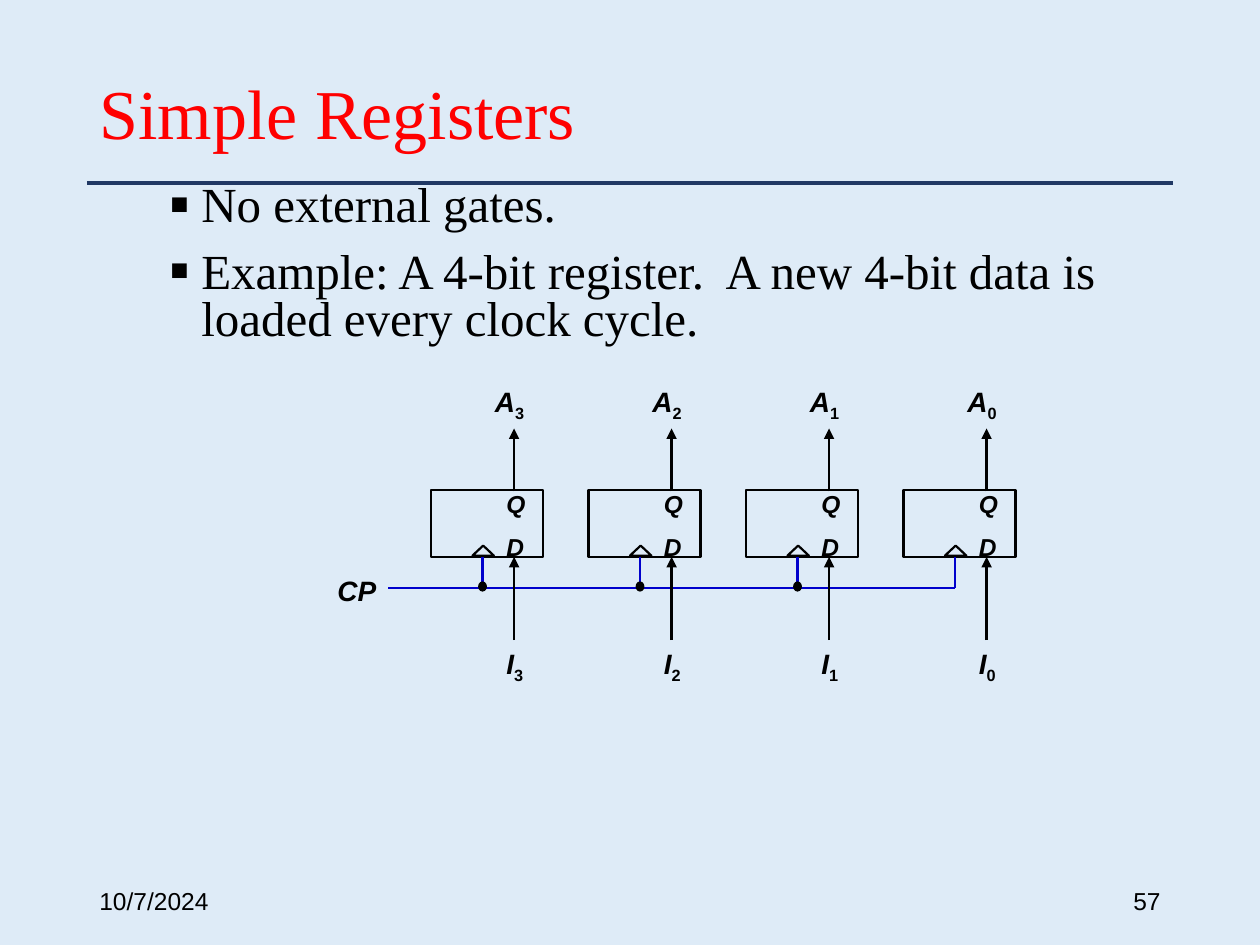
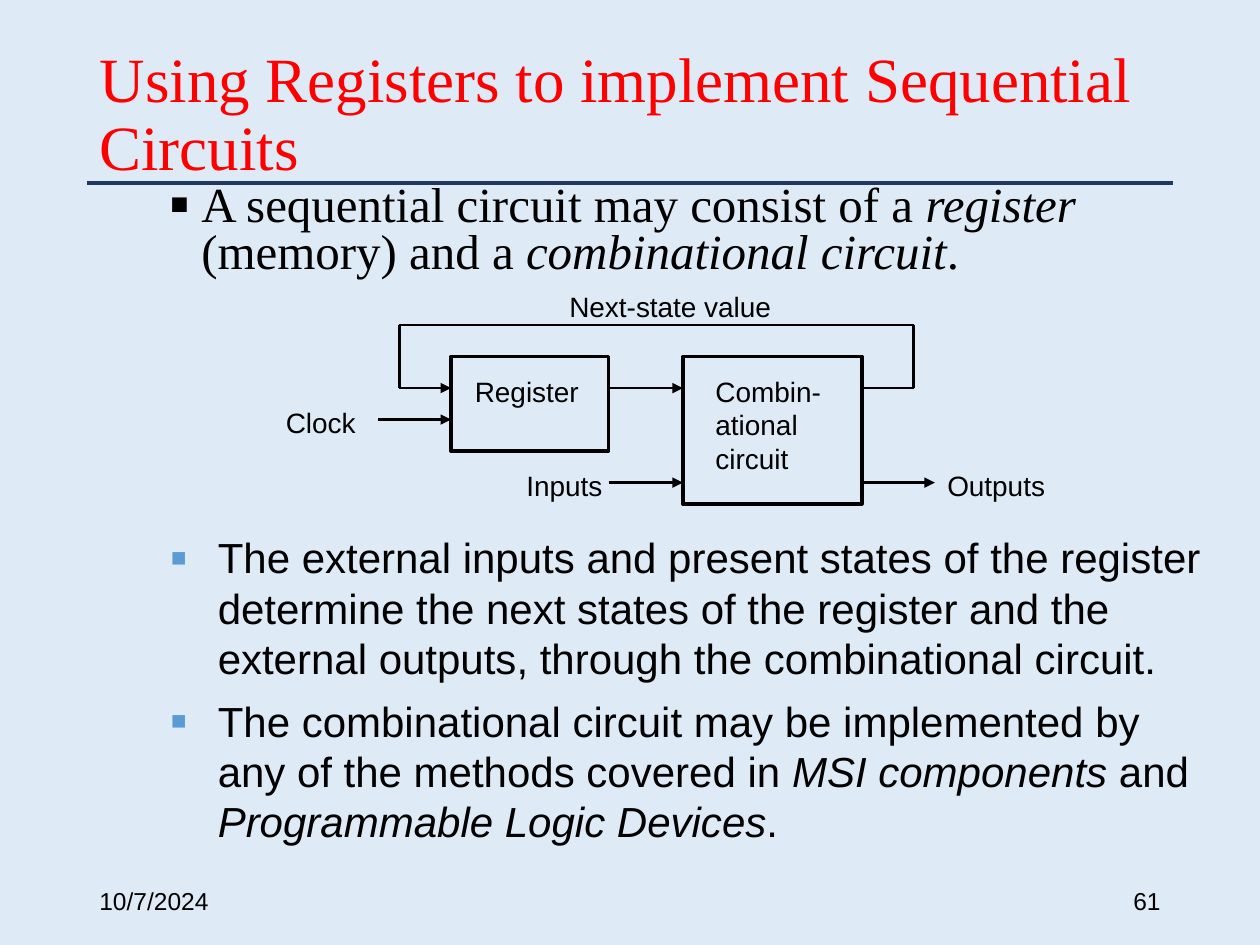
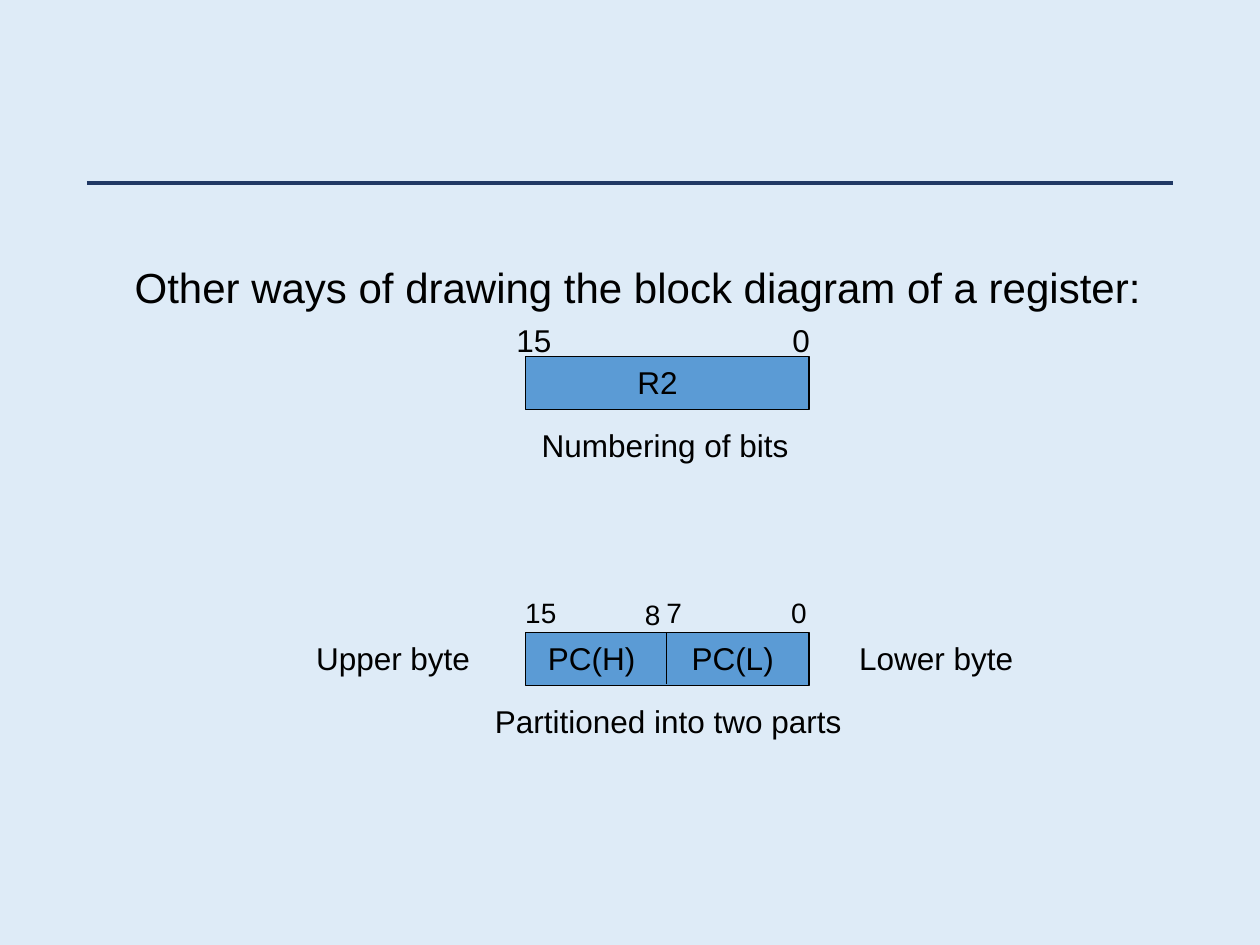
from lxml.etree import SubElement
from pptx import Presentation
from pptx.dml.color import RGBColor
from pptx.enum.shapes import MSO_CONNECTOR, MSO_SHAPE
from pptx.enum.text import MSO_ANCHOR, MSO_AUTO_SIZE, PP_ALIGN
from pptx.oxml.ns import qn
from pptx.util import Inches, Pt

SERIF, SANS = "Times New Roman", "Arial"
BLACK, RED, NAVY, BLUE, CLOCK_BLUE, PALE = "000000", "FF0000", "203864", "5B9BD5", "0000CC", "DEEBF7"
ITALIC = {"italic": True}
SUB = {"italic": False, "baseline": -25000}
DATE = "10/7/2024"

REGISTER_POINTS = [
    ["No external gates."],
    ["Example: A 4-bit register.  A new 4-bit data is loaded every clock cycle."],
]
SEQUENTIAL_INTRO = [
    ["A sequential circuit may consist of a ", ("register", ITALIC), " (memory) and a ",
     ("combinational circuit", ITALIC), "."],
]
SEQUENTIAL_POINTS = [
    ["The external inputs and present states of the register determine the next states of "
     "the register and the external outputs, through the combinational circuit."],
    ["The combinational circuit may be implemented by any of the methods covered in ",
     ("MSI components", ITALIC), " and ", ("Programmable Logic Devices", ITALIC), "."],
]
BITS = ["3", "2", "1", "0"]

CIRCUIT_BLOCKS = [(3.58, 2.83, 1.25, 0.75), (5.42, 2.83, 1.42, 1.17)]
CIRCUIT_LABELS = [
    ("Register", 3.67, 2.92, 1.08), ("Combin-ational circuit", 5.58, 2.92, 1.08),
    ("Clock", 2.17, 3.17, 0.83), ("Inputs", 4.08, 3.67, 0.83),
    ("Outputs", 7.42, 3.67, 1), ("Next-state value", 4.42, 2.25, 1.92),
]
CIRCUIT_ARROWS = [
    (4.83, 3.08, 5.42, 3.08), (4.83, 3.83, 5.42, 3.83), (3.17, 3.08, 3.58, 3.08),
    (3, 3.33, 3.58, 3.33), (6.83, 3.83, 7.42, 3.83),
]
FEEDBACK = [(6.83, 3.08), (7.25, 3.08), (7.25, 2.58), (3.17, 2.58), (3.17, 3.08)]

BLOCK_TOPS = [2.83, 5.02]
BLOCK_LABELS = [
    ("R2", 4.96, 2.83, 0.58, 18), ("Numbering of bits", 4.2, 3.33, 2.19, 18),
    ("15", 4, 2.5, 0.58, 18), ("0", 6.19, 2.5, 0.58, 18),
    ("PC(H)", 4.25, 5.02, 0.92, 18), ("PC(L)", 5.39, 5.02, 0.92, 18),
    ("Partitioned into two parts", 3.83, 5.52, 3, 18),
    ("15", 4.07, 4.68, 0.58, 16), ("8", 5.02, 4.69, 0.58, 16),
    ("7", 5.19, 4.68, 0.58, 16), ("0", 6.18, 4.68, 0.58, 16),
]
SIDE_LABELS = [
    ("Upper byte", 2.41, 5.02, 1.42, 18), ("Lower byte", 6.72, 5.02, 1.42, 18),
    ("Other ways of drawing the block diagram of a register:", 0.97, 2.03, 8.19, 24),
]


def rgb(color):
    return RGBColor.from_string(color)


def add_bullet(p, indent, color):
    pPr = p._p.get_or_add_pPr()
    pPr.set("marL", str(Inches(indent)))
    pPr.set("indent", str(-Inches(indent)))
    SubElement(SubElement(pPr, qn("a:buClr")), qn("a:srgbClr")).set("val", color)
    SubElement(pPr, qn("a:buSzPct")).set("val", "120000")
    SubElement(pPr, qn("a:buFont")).set("typeface", SANS)
    SubElement(pPr, qn("a:buChar")).set("char", "▪")


def write(tf, paras, size=16, font=SANS, color=BLACK, bold=False, italic=False, wrap=True,
          grow=False, anchor=MSO_ANCHOR.TOP, align=PP_ALIGN.LEFT, spacing=None, before=0,
          indent=0, bullet=BLACK):
    tf.word_wrap = wrap
    tf.auto_size = MSO_AUTO_SIZE.SHAPE_TO_FIT_TEXT if grow else MSO_AUTO_SIZE.NONE
    tf.vertical_anchor = anchor
    for i, runs in enumerate([[paras]] if isinstance(paras, str) else paras):
        p = tf.add_paragraph() if i else tf.paragraphs[0]
        if indent:
            add_bullet(p, indent, bullet)
        p.alignment = align
        if spacing:
            p.line_spacing = spacing
        if i:
            p.space_before = Pt(before)
        for run in runs:
            text, extra = (run, {}) if isinstance(run, str) else run
            r = p.add_run()
            r.text = text
            r.font.size, r.font.name, r.font.bold = Pt(size), font, bold
            r.font.italic = extra.get("italic", italic)
            r.font.color.rgb = rgb(color)
            if "baseline" in extra:
                r._r.get_or_add_rPr().set("baseline", str(extra["baseline"]))


def add_text(s, paras, x, y, w, h=0.37, **fmt):
    write(s.shapes.add_textbox(Inches(x), Inches(y), Inches(w), Inches(h)).text_frame, paras, **fmt)


def add_line(s, x1, y1, x2, y2, color=BLACK, width=1.25, arrow=False):
    c = s.shapes.add_connector(MSO_CONNECTOR.STRAIGHT, Inches(x1), Inches(y1), Inches(x2), Inches(y2))
    c.line.color.rgb = rgb(color)
    c.line.width = Pt(width)
    spPr = c.element.spPr
    if arrow:
        SubElement(spPr.find(qn("a:ln")), qn("a:tailEnd")).set("type", "triangle")
    SubElement(spPr, qn("a:effectLst"))
    return c


def add_block(s, x, y, w, h, kind=MSO_SHAPE.RECTANGLE, fill=None, width=0.75):
    sp = s.shapes.add_shape(kind, Inches(x), Inches(y), Inches(w), Inches(h))
    sp.shadow.inherit = False
    if fill:
        sp.fill.solid()
        sp.fill.fore_color.rgb = rgb(fill)
    else:
        sp.fill.background()
    sp.line.color.rgb = rgb(BLACK)
    sp.line.width = Pt(width)


def add_titled_slide(prs, title, size, number):
    s = prs.slides.add_slide(prs.slide_layouts[5])
    sp = s.shapes.title
    sp.left, sp.top, sp.width, sp.height = Inches(0.69), Inches(0.4), Inches(8.62), Inches(1.05)
    write(sp.text_frame, title, size=size, font=SERIF, color=RED, anchor=MSO_ANCHOR.MIDDLE, spacing=0.9)
    for text, x, align in [(DATE, 0.69, PP_ALIGN.LEFT), (number, 7.06, PP_ALIGN.RIGHT)]:
        add_text(s, text, x, 6.95, 2.25, 0.4, size=14, anchor=MSO_ANCHOR.MIDDLE, align=align)
    return s


def add_serif_body(s, paras, w, h):
    add_text(s, paras, 1.25, 1.42, w, h, size=28, font=SERIF, spacing=0.8, before=11, indent=0.25)


def style_master(prs, s):
    master = prs.slide_master
    master.background.fill.solid()
    master.background.fill.fore_color.rgb = rgb(PALE)
    rule = add_line(s, 0.69, 1.45, 9.31, 1.45, NAVY, 2.25)
    master.shapes.element.append(rule.element)


def draw_flip_flops(s):
    label = {"bold": True, "italic": True, "wrap": False, "grow": True}
    bus_y, bottom, pitch = 4.67, 4.42, 1.25
    add_text(s, "CP", 2.58, 4.5, 0.51, **label)
    add_line(s, 3.08, bus_y, 7.58, bus_y, CLOCK_BLUE)
    for i, bit in enumerate(BITS):
        clock_x = 3.83 + i * pitch
        data_x = clock_x + 0.25
        add_block(s, clock_x - 0.41, 3.89, 0.89, 0.53, width=1.5)
        add_block(s, clock_x - 0.08, 4.33, 0.17, 0.08, MSO_SHAPE.ISOSCELES_TRIANGLE, width=1.25)
        add_line(s, clock_x, bottom, clock_x, bus_y, CLOCK_BLUE)
        if i < len(BITS) - 1:
            add_block(s, clock_x - 0.03, 4.62, 0.06, 0.07, MSO_SHAPE.OVAL, BLACK)
        add_line(s, data_x, 3.9, data_x, 3.4, arrow=True)
        add_line(s, data_x, 5.08, data_x, bottom, arrow=True)
        add_text(s, [["A", (bit, SUB)]], clock_x, 3, 0.45, **label)
        add_text(s, [["I", (bit, SUB)]], clock_x + 0.09, 5.08, 0.35, **label)
        for pin, y, w in [("Q", 3.83, 0.35), ("D", 4.17, 0.34)]:
            add_text(s, pin, clock_x + 0.09, y, w, 0.33, size=14, **label)


def draw_sequential_circuit(s):
    for box in CIRCUIT_BLOCKS:
        add_block(s, *box, width=2)
    for label in CIRCUIT_LABELS:
        add_text(s, *label, grow=True)
    for ends in CIRCUIT_ARROWS:
        add_line(s, *ends, width=1.5, arrow=True)
    for start, end in zip(FEEDBACK, FEEDBACK[1:]):
        add_line(s, *start, *end, width=1.5)


def draw_register_blocks(s):
    for y in BLOCK_TOPS:
        add_block(s, 4.17, y, 2.25, 0.42, fill=BLUE)
    add_line(s, 5.29, 5.02, 5.29, 5.43, width=0.75)
    for labels, wrap in [(BLOCK_LABELS, True), (SIDE_LABELS, False)]:
        for text, x, y, w, size in labels:
            add_text(s, text, x, y, w, size=size, wrap=wrap, grow=True)


def main():
    prs = Presentation()
    prs.slide_width, prs.slide_height = Inches(10), Inches(7.5)

    s = add_titled_slide(prs, "Simple Registers", 40, "57")
    style_master(prs, s)
    add_serif_body(s, REGISTER_POINTS, 8.42, 1.42)
    draw_flip_flops(s)

    s = add_titled_slide(prs, "Using Registers to implement Sequential Circuits", 36, "61")
    add_serif_body(s, SEQUENTIAL_INTRO, 8.33, 0.92)
    draw_sequential_circuit(s)
    add_text(s, SEQUENTIAL_POINTS, 1.25, 4.17, 8.42, 2.58, size=24, before=7, indent=0.38, bullet=BLUE)

    s = prs.slides.add_slide(prs.slide_layouts[6])
    draw_register_blocks(s)

    prs.save("out.pptx")


if __name__ == "__main__":
    main()
